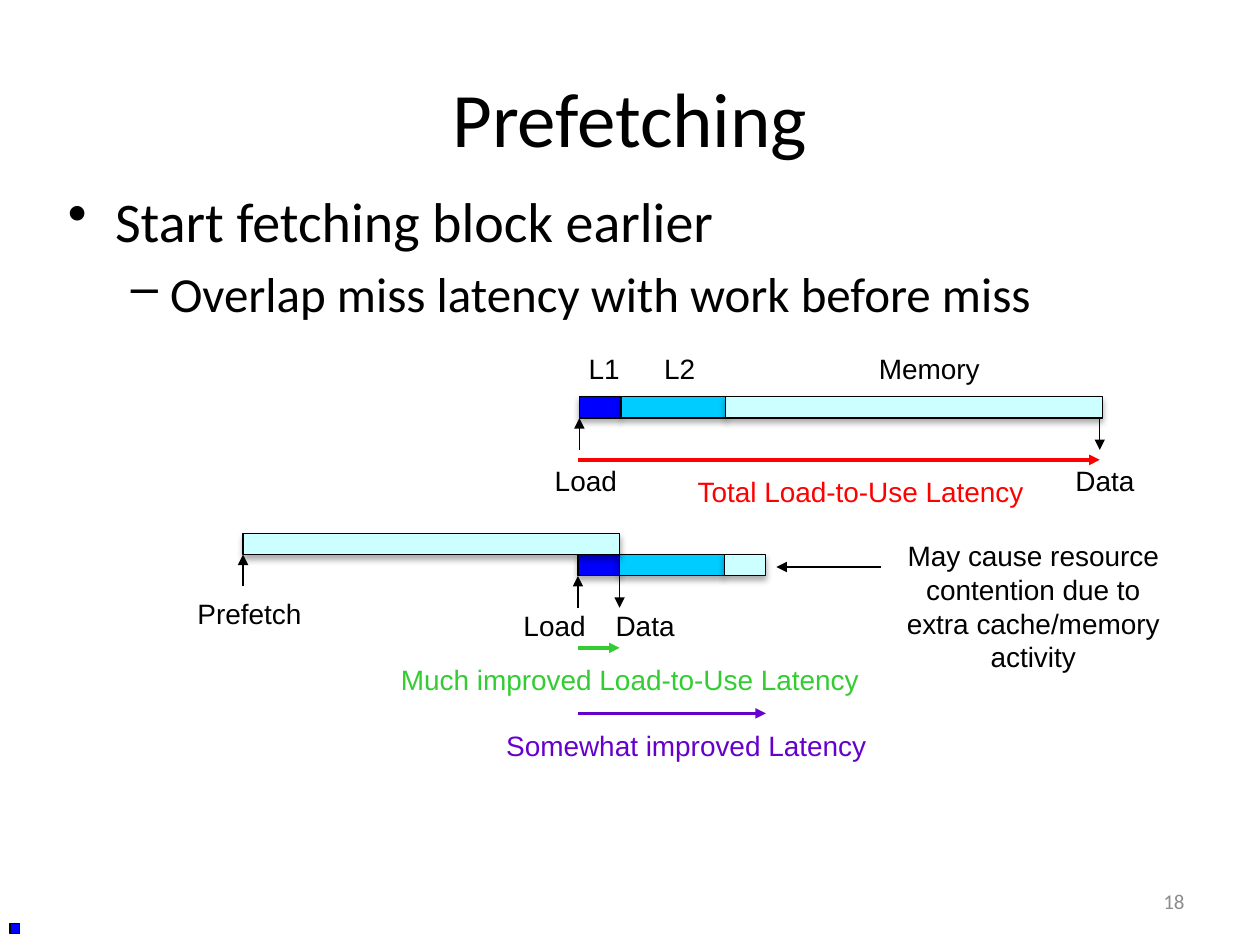
from lxml.etree import SubElement
from pptx import Presentation
from pptx.dml.color import RGBColor
from pptx.enum.shapes import MSO_CONNECTOR, MSO_SHAPE
from pptx.enum.text import MSO_ANCHOR, PP_ALIGN
from pptx.oxml.ns import qn
from pptx.util import Cm, Pt

COLORS = {
    "ink": "000000", "l1": "0000FF", "l2": "00CCFF", "memory": "CCFFFF",
    "total": "FF0000", "much": "33CC33", "somewhat": "6600CC", "number": "8C8C8C",
}
CACHE_WIDTHS = {"l1": 0.84, "l2": 2.11, "memory": 7.59}
BAR_HEIGHT = 0.43
TICK = 0.64


def color(name):
    return RGBColor.from_string(COLORS[name])


class TimelineSlide:
    """Current slide plus its style; all positions are in centimetres."""

    heading_font = "Calibri"
    label_font = "Arial"
    label_size = 16
    label_height = 0.94

    def __init__(self, slide):
        self.slide = slide

    def text(self, lines, left, top, width, height, size, font,
             ink="ink", align=PP_ALIGN.CENTER, anchor=MSO_ANCHOR.TOP, wrap=True):
        box = self.slide.shapes.add_textbox(Cm(left), Cm(top), Cm(width), Cm(height))
        frame = box.text_frame
        frame.word_wrap = wrap
        frame.vertical_anchor = anchor
        frame.text = "\n".join(lines)
        for paragraph in frame.paragraphs:
            paragraph.alignment = align
            paragraph.font.name = font
            paragraph.font.size = Pt(size)
            paragraph.font.color.rgb = color(ink)
        return frame

    def label(self, words, left, top, width, ink="ink", height=label_height):
        self.text(words.split("\n"), left, top, width, height, self.label_size,
                  self.label_font, ink, wrap=False)

    def outline(self, items, left, top, width, height):
        """Bulleted list; items are (words, size, bullet, margin, hanging)."""
        frame = self.text([item[0] for item in items], left, top, width, height,
                          28, self.heading_font, align=PP_ALIGN.LEFT)
        for level, (paragraph, item) in enumerate(zip(frame.paragraphs, items)):
            _, size, bullet, margin, hanging = item
            paragraph.level = level
            paragraph.font.size = Pt(size)
            paragraph.space_before = Pt(size * 0.2)
            properties = paragraph._p.get_or_add_pPr()
            properties.set("marL", str(Cm(margin)))
            properties.set("indent", str(-Cm(hanging)))
            mark = properties.makeelement(qn("a:buChar"), {"char": bullet})
            properties.find(qn("a:defRPr")).addprevious(mark)

    def bar(self, fill, left, top, width, height=BAR_HEIGHT, shadow=True):
        block = self.slide.shapes.add_shape(
            MSO_SHAPE.RECTANGLE, Cm(left), Cm(top), Cm(width), Cm(height))
        block.fill.solid()
        block.fill.fore_color.rgb = color(fill)
        block.line.color.rgb = color("ink")
        block.line.width = Pt(0.75)
        block.shadow.inherit = False
        if shadow:
            effects = block._element.spPr.find(qn("a:effectLst"))
            outer = SubElement(effects, qn("a:outerShdw"), blurRad=str(Pt(3.5)),
                               dist=str(Pt(2.2)), dir="5400000", rotWithShape="0")
            shade = SubElement(outer, qn("a:srgbClr"), val=COLORS["ink"])
            SubElement(shade, qn("a:alpha"), val="32000")

    def lookup(self, left, top, widths):
        """Adjoining bars, one per level of the memory hierarchy."""
        for level, width in widths.items():
            self.bar(level, left, top, width)
            left += width

    def arrow(self, x1, y1, x2, y2, ink="ink", weight=0.75):
        connector = self.slide.shapes.add_connector(
            MSO_CONNECTOR.STRAIGHT, Cm(x1), Cm(y1), Cm(x2), Cm(y2))
        connector.line.color.rgb = color(ink)
        connector.line.width = Pt(weight)
        SubElement(connector.line._get_or_add_ln(), qn("a:tailEnd"), type="triangle")
        SubElement(connector._element.spPr, qn("a:effectLst"))

    def latency(self, words, start, end, top, label_left, label_width, ink):
        """Coloured span with its caption just below."""
        self.arrow(start, top, end, top, ink, 2)
        self.label(words, label_left, top + 0.18, label_width, ink)


def main():
    deck = Presentation()
    deck.slide_width, deck.slide_height = Cm(25.4), Cm(19.05)
    page = TimelineSlide(deck.slides.add_slide(deck.slide_layouts[6]))

    page.text(["Prefetching"], 1.27, 0.76, 22.86, 3.18, 44, page.heading_font,
              anchor=MSO_ANCHOR.MIDDLE)
    page.outline([
        ("Start fetching block earlier", 32, "•", 0.95, 0.95),
        ("Overlap miss latency with work before miss", 28, "–", 2.06, 0.79),
    ], 1.12, 3.63, 23.19, 2.95)

    # Without prefetching
    load, data, top = 11.68, 22.17, 8.0
    bottom = top + BAR_HEIGHT
    page.lookup(load, top, CACHE_WIDTHS)
    for level, left, width in (("L1", 11.61, 1.14), ("L2", 13.13, 1.14),
                               ("Memory", 17.45, 2.57)):
        page.label(level, left, 6.96, width)
    page.arrow(load, bottom + TICK, load, bottom)
    page.arrow(data, bottom, data, bottom + TICK)
    page.label("Load", 10.92, 9.22, 1.78)
    page.label("Data", 21.41, 9.22, 1.73)
    page.latency("Total Load-to-Use Latency", 11.66, data, 9.27, 13.77, 7.16, "total")

    # With prefetching
    prefetch, load, data, top = 4.9, 11.65, 12.49, 11.18
    bottom = top + BAR_HEIGHT
    page.lookup(load, top, CACHE_WIDTHS | {"memory": 0.84})
    page.bar("memory", prefetch, top - BAR_HEIGHT, CACHE_WIDTHS["memory"])
    page.arrow(prefetch, top + TICK, prefetch, top)
    page.arrow(load, bottom + TICK, load, bottom)
    page.arrow(data, top, data, bottom + TICK)
    page.label("Prefetch", 3.71, 11.91, 2.64)
    page.label("Load", 10.29, 12.14, 1.78)
    page.label("Data", 12.14, 12.14, 1.73)
    page.latency("Much improved Load-to-Use Latency", load, data,
                 13.06, 7.77, 9.86, "much")
    page.latency("Somewhat improved Latency", load, 15.44,
                 14.38, 9.91, 7.85, "somewhat")

    page.arrow(17.75, 11.43, 15.65, 11.43)
    page.label("May cause resource\ncontention due to\nextra cache/memory\nactivity",
               18.01, 10.74, 5.64, height=3.0)

    page.bar("l1", 0.2, 18.62, 0.2, 0.2, shadow=False)
    page.text(["18"], 18.21, 17.65, 5.92, 1.02, 12, page.heading_font, "number",
              PP_ALIGN.RIGHT, MSO_ANCHOR.MIDDLE)

    deck.save("out.pptx")


if __name__ == "__main__":
    main()
